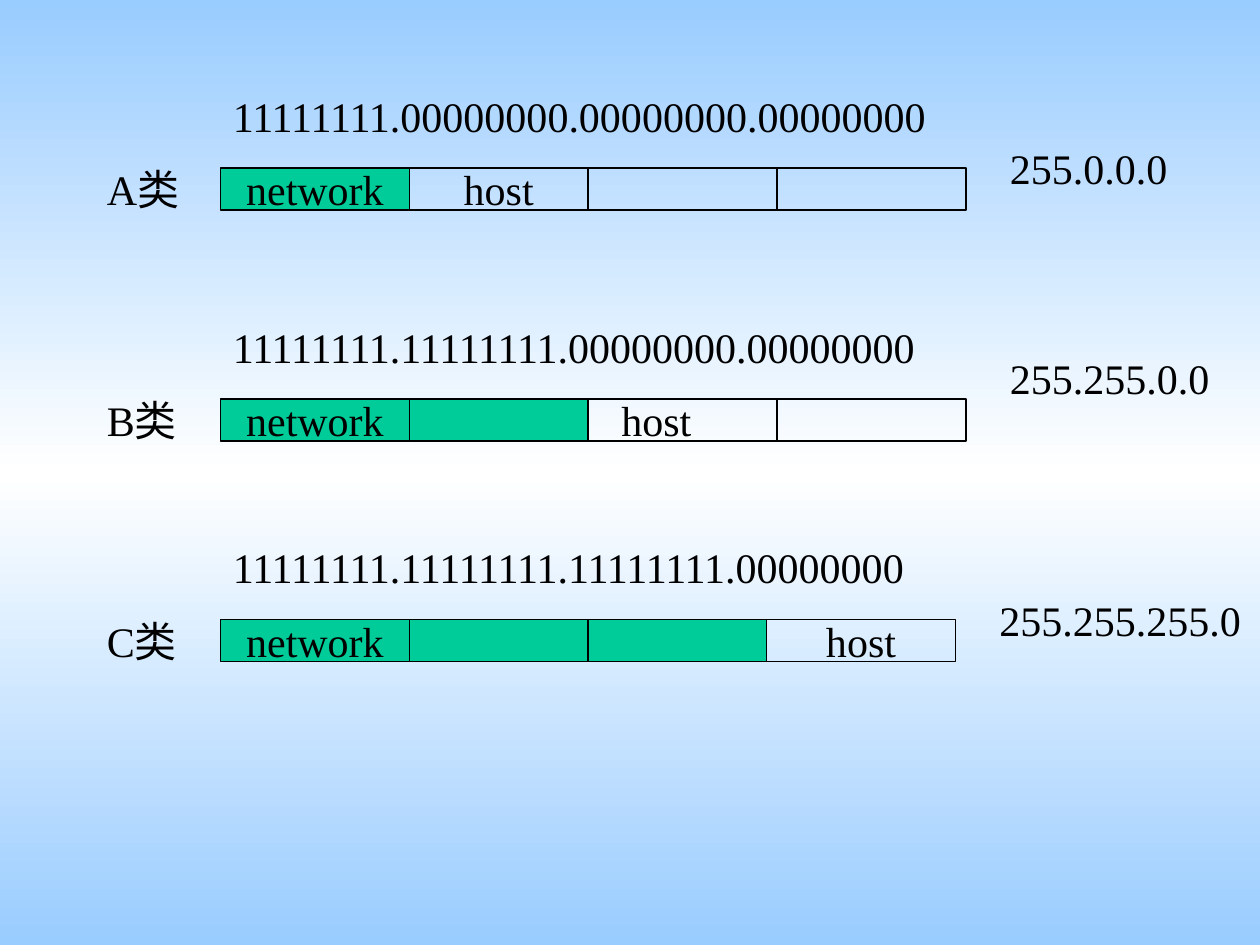
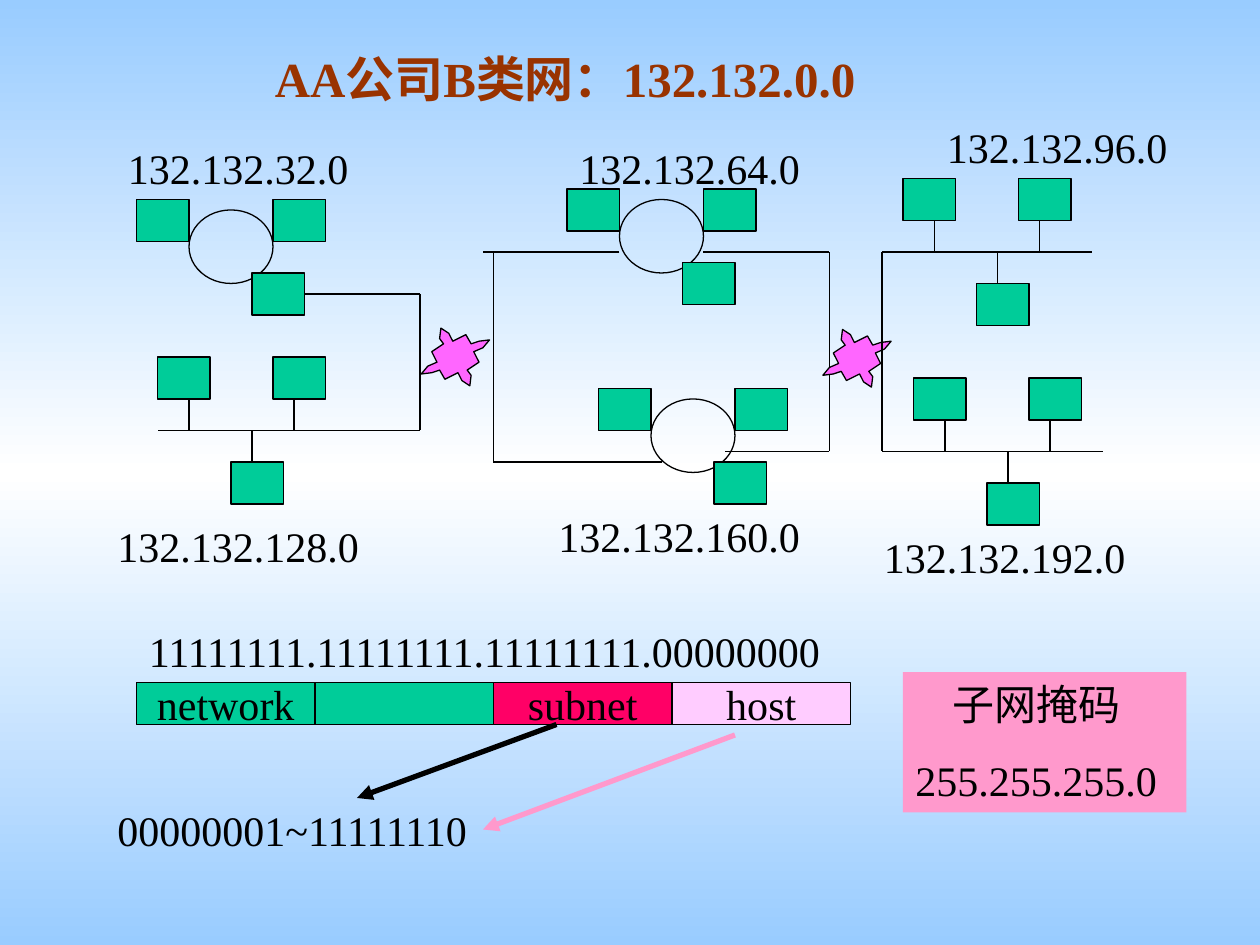
from copy import deepcopy
from lxml import etree
from pptx import Presentation
from pptx import util as u
from pptx.dml.color import RGBColor
from pptx.enum import shapes, text
from pptx.oxml.ns import qn

PX = 9525
FONT = "Times New Roman"
HUES = {
    "ink": "000000", "sky": "99CCFF", "white": "FFFFFF", "green": "00CC99",
    "brown": "993300", "star": "FF66FF", "red": "FF0066", "pale": "FFCCFF",
    "pink": "FF99CC",
}
RECT = shapes.MSO_SHAPE.RECTANGLE
OVAL = shapes.MSO_SHAPE.OVAL
HALF = [(8, 18), (17, 12), (14, 8), (15, 0), (21, 4), (24, 10),
        (34, 5), (38, 12), (44, 10), (52, 9), (47, 15), (40, 18)]
STAR = HALF + [(52 - x, 44 - y) for x, y in HALF]


def hue(name):
    return RGBColor.from_string(HUES[name])


def emu(*vals):
    return [u.Emu(v * PX) for v in vals]


def style(frame, size=24, tone="ink", bold=False):
    for para in frame.paragraphs:
        for run in para.runs:
            run.font.name = FONT
            run.font.size = u.Pt(size)
            run.font.bold = bold
            run.font.color.rgb = hue(tone)


def paint(shape, fill, line="ink"):
    shape.shadow.inherit = False
    if fill:
        shape.fill.solid()
        shape.fill.fore_color.rgb = hue(fill)
    else:
        shape.fill.background()
    if line:
        shape.line.color.rgb = hue(line)
        shape.line.width = u.Pt(0.75)
    else:
        shape.line.fill.background()


def block(slide, x, y, w, h, fill=None, words="", kind=RECT):
    shape = slide.shapes.add_shape(kind, *emu(x, y, w, h))
    paint(shape, fill)
    if words:
        frame = shape.text_frame
        frame.word_wrap = False
        frame.vertical_anchor = text.MSO_ANCHOR.MIDDLE
        frame.text = words
        frame.paragraphs[0].alignment = text.PP_ALIGN.CENTER
        style(frame)


def flow(frame, words, **look):
    frame.word_wrap = True
    frame.auto_size = text.MSO_AUTO_SIZE.SHAPE_TO_FIT_TEXT
    frame.vertical_anchor = text.MSO_ANCHOR.TOP
    frame.text = words
    for para in frame.paragraphs:
        para.alignment = text.PP_ALIGN.LEFT
        para.space_before = u.Pt(15)
    style(frame, **look)


def label(slide, x, y, w, words, h=48, **look):
    box = slide.shapes.add_textbox(*emu(x, y, w, h))
    flow(box.text_frame, words, **look)


def line(slide, start, end, tone="ink", width=0.75, arrow=False):
    link = slide.shapes.add_connector(
        shapes.MSO_CONNECTOR.STRAIGHT, *emu(*start, *end))
    link.line.color.rgb = hue(tone)
    link.line.width = u.Pt(width)
    props = link.element.spPr
    if arrow:
        etree.SubElement(props.find(qn("a:ln")), qn("a:tailEnd"), type="triangle")
    etree.SubElement(props, qn("a:effectLst"))


def wire(slide, *points):
    for start, end in zip(points, points[1:]):
        line(slide, start, end)


def bar(slide, x, y, cells):
    for width, fill, words in cells:
        block(slide, x, y, width, 32, fill, words)
        x += width


def node(slide, x, y):
    block(slide, x, y, 40, 32, "green")


def ring(slide, x, y):
    block(slide, x, y, 64, 56, kind=OVAL)
    for dx, dy in [(-40, -8), (64, -8), (48, 48)]:
        node(slide, x + dx, y + dy)


def bus(slide, x, y):
    for dx, dy, tap, top in [(0, 0, 24, 32), (88, 0, 104, 32), (56, 80, 72, 56)]:
        node(slide, x + dx, y + dy)
        line(slide, (x + tap, y + top), (x + tap, y + top + 24))


def router(slide, x, y):
    points = [(x + dx, y + dy) for dx, dy in STAR]
    pen = slide.shapes.build_freeform(*points[0], scale=PX)
    pen.add_line_segments(points[1:], close=True)
    paint(pen.convert_to_shape(), "star")


def mask_row(slide, top, name, code, cells, dotted):
    label(slide, 72, top + 56, 88, name)
    label(slide, 168, top, 576, code)
    bar(slide, 168, top + 64, cells)
    x, drop, width, words = dotted
    label(slide, x, top + drop, width, words)


def mask_slide(slide):
    net = (144, "green", "network")
    full = (136, "green", "")
    free = (144, None, "")
    mask_row(slide, 64, "A类", "11111111.00000000.00000000.00000000",
             [net, (136, None, "host"), free, free], (760, 40, 168, "255.0.0.0"))
    mask_row(slide, 240, "B类", "11111111.11111111.00000000.00000000",
             [net, full, free, free], (760, 24, 184, "255.255.0.0"))
    label(slide, 464, 296, 88, "host")
    mask_row(slide, 408, "C类", "11111111.11111111.11111111.00000000",
             [net, full, full, (144, None, "host")], (752, 40, 208, "255.255.255.0"))


def left_net(slide):
    ring(slide, 144, 160)
    wire(slide, (232, 224), (320, 224), (320, 328), (120, 328))
    bus(slide, 120, 272)


def mid_net(slide):
    ring(slide, 472, 152)
    ring(slide, 496, 304)
    wire(slide, (472, 192), (368, 192))
    wire(slide, (376, 192), (376, 352), (504, 352))
    wire(slide, (536, 192), (632, 192), (632, 344), (552, 344))


def right_net(slide):
    wire(slide, (832, 192), (672, 192), (672, 344), (840, 344))
    bus(slide, 696, 288)
    bus(slide, 688, 136)


def note(slide, x, y):
    box = slide.shapes.add_shape(RECT, *emu(x, y, 216, 107))
    paint(box, "pink", None)
    flow(box.text_frame, "子网掩码\n255.255.255.0")
    first = next(box.element.iter(qn("a:pPr")))
    first.set("indent", str(28 * PX))


def split(slide, x, y):
    label(slide, x, y, 560, "11111111.11111111.11111111.00000000")
    bar(slide, x, y + 48, [(136, "green", "network"), (136, "green", ""),
                           (136, "red", "subnet"), (136, "pale", "host")])
    line(slide, (x + 320, y + 80), (x + 168, y + 136), width=3, arrow=True)
    label(slide, x - 24, y + 136, 304, "00000001~11111110")
    line(slide, (x + 456, y + 88), (x + 264, y + 160), "pink", 3, True)


def subnet_slide(slide):
    label(slide, 200, 32, 568, "AA公司B类网：132.132.0.0", h=55,
          size=28, tone="brown", bold=True)
    left_net(slide)
    router(slide, 321, 250)
    mid_net(slide)
    router(slide, 627, 251)
    right_net(slide)
    for x, y, width, part in [(88, 104, 200, 32), (432, 104, 216, 64),
                              (712, 88, 192, 96), (80, 392, 240, 128),
                              (416, 384, 216, 160), (664, 400, 208, 192)]:
        label(slide, x, y, width, f"132.132.{part}.0")
    split(slide, 104, 472)
    note(slide, 688, 512)


def backdrop(master):
    fill = master.background.fill
    fill.gradient()
    fill.gradient_angle = 90
    first = next(master.element.cSld.iter(qn("a:gs")))
    first.addnext(deepcopy(first))
    for stop, place, tone in zip(fill.gradient_stops, (0, 0.5, 1),
                                 ("sky", "white", "sky")):
        stop.position = place
        stop.color.rgb = hue(tone)


def main():
    deck = Presentation()
    deck.slide_width, deck.slide_height = emu(960, 720)
    backdrop(deck.slide_master)
    for draw in (mask_slide, subnet_slide):
        draw(deck.slides.add_slide(deck.slide_layouts[6]))
    deck.save("out.pptx")


if __name__ == "__main__":
    main()
